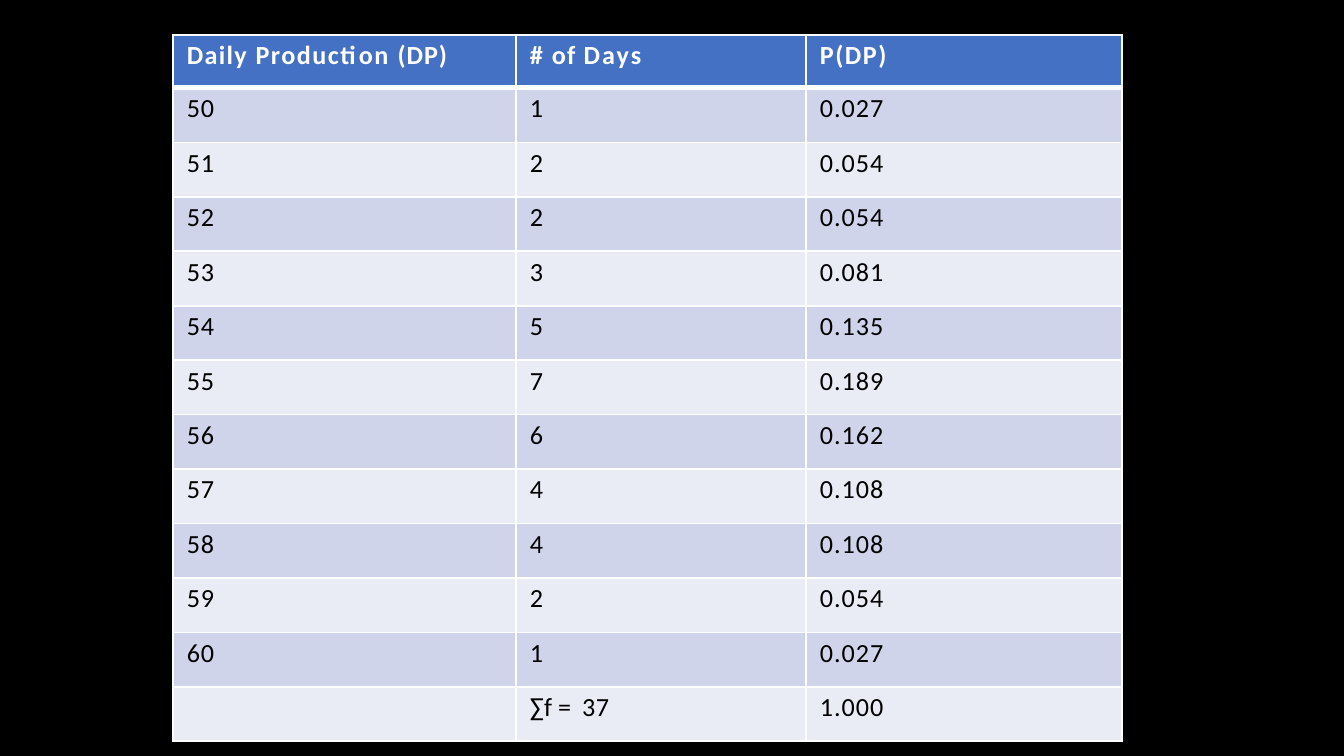
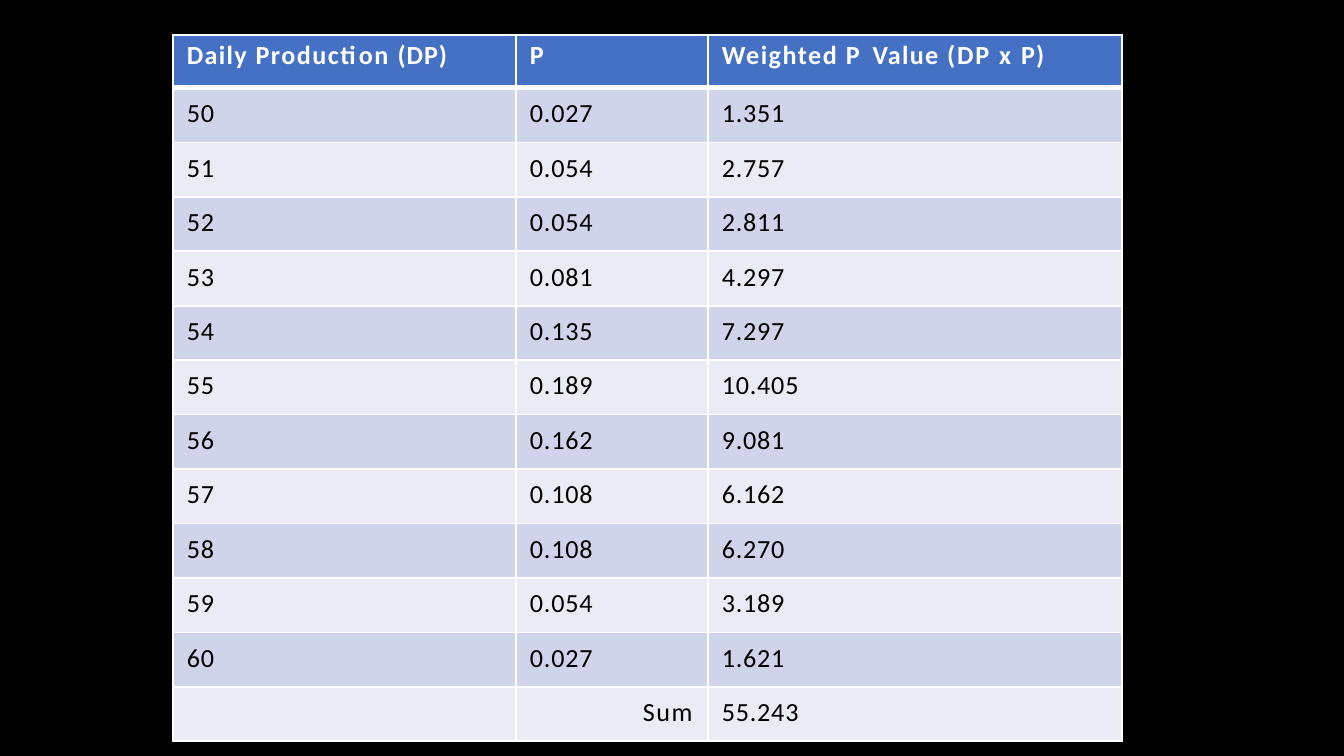
from dataclasses import dataclass

from lxml.etree import SubElement
from pptx import Presentation
from pptx.dml.color import RGBColor
from pptx.oxml.ns import qn
from pptx.util import Emu, Pt

SCALE = 9144000 / 1344
WIDE, HIGH = 1344, 756


@dataclass(frozen=True)
class Theme:
    """Hold the colours and type sizes of the deck."""

    back: str = "000000"
    head: str = "4471C4"
    bands: tuple = ("CFD4EA", "E9EBF5")
    rule: str = "FFFFFF"
    light: str = "FFFFFF"
    dark: str = "000000"
    font: str = "Calibri"
    size: int = 14
    thin: int = 1
    thick: int = 3


THEME = Theme()

LEFT, TOP, TALL = 173, 35, 707
CROWN = 53
INSET = 14

DAYS = [
    ("50", "1", "0.027", "1.351"),
    ("51", "2", "0.054", "2.757"),
    ("52", "2", "0.054", "2.811"),
    ("53", "3", "0.081", "4.297"),
    ("54", "5", "0.135", "7.297"),
    ("55", "7", "0.189", "10.405"),
    ("56", "6", "0.162", "9.081"),
    ("57", "4", "0.108", "6.162"),
    ("58", "4", "0.108", "6.270"),
    ("59", "2", "0.054", "3.189"),
    ("60", "1", "0.027", "1.621"),
]

DAILY = [("Daily ", 0.7), ("Production ", 0.8), ("(DP)", 0.5)]


def px(count):
    """Turn a length in px into EMU."""
    return Emu(round(count * SCALE))


def paint(fill, color):
    """Give a fill one solid colour."""
    fill.solid()
    fill.fore_color.rgb = RGBColor.from_string(color)


def trim(deck, blank):
    """Keep one layout and drop the placeholders that no slide uses."""
    for layout in list(deck.slide_layouts):
        if layout is not blank:
            deck.slide_layouts.remove(layout)
    for page in (deck.slide_master, blank):
        for holder in list(page.placeholders):
            holder.element.getparent().remove(holder.element)


def add_rules(cell, row):
    """Draw the four borders of a cell, thick below the header."""
    props = cell._tc.get_or_add_tcPr()
    for side in "LRTB":
        thick = (side, row) in (("B", 0), ("T", 1))
        width = Pt(THEME.thick if thick else THEME.thin)
        line = SubElement(props, qn(f"a:ln{side}"), w=str(width))
        fill = SubElement(line, qn("a:solidFill"))
        SubElement(fill, qn("a:srgbClr"), val=THEME.rule)


def add_run(para, text, space, head):
    """Add one run with its letter spacing in points."""
    run = para.add_run()
    run.text = text
    run.font.name = THEME.font
    run.font.size = Pt(THEME.size)
    run.font.bold = head
    color = THEME.light if head else THEME.dark
    run.font.color.rgb = RGBColor.from_string(color)
    run._r.get_or_add_rPr().set("spc", str(round(space * 100)))


def fill_cell(cell, row, runs, top):
    """Style a cell and write its runs."""
    head = row == 0
    add_rules(cell, row)
    paint(cell.fill, THEME.head if head else THEME.bands[(row - 1) % 2])
    cell.margin_left, cell.margin_top = px(INSET), px(top)
    cell.margin_right = cell.margin_bottom = 0
    for text, space in runs:
        add_run(cell.text_frame.paragraphs[0], text, space, head)


def add_grid(slide, widths, rows, drop):
    """Add a table of run lists, with body text set down by drop."""
    frame = slide.shapes.add_table(
        len(rows), len(widths), px(LEFT), px(TOP), px(sum(widths)), px(TALL)
    )
    table = frame.table
    table.horz_banding = False
    for col, width in zip(table.columns, widths):
        col.width = px(width)
    for row, line in enumerate(table.rows):
        line.height = px((TALL - CROWN) / (len(rows) - 1) if row else CROWN)
    for row, cells in enumerate(rows):
        for col, runs in enumerate(cells):
            fill_cell(table.cell(row, col), row, runs, drop if row else 5)
    return table


def pick(fields, spaces):
    """Build body rows from the chosen fields and column spacings."""
    return [
        [[(day[field], space)] for field, space in zip(fields, spaces)]
        for day in DAYS
    ]


def add_odds(slide):
    """Show how often each output came up."""
    head = [DAILY, [("# ", 0.8), ("of ", 0.6), ("Days", 1.1)], [("P(DP)", 0.8)]]
    total = [[], [("∑f ", 0), ("= ", 1.4), ("37", 0.2)], [("1.000", 0.5)]]
    body = pick((0, 1, 2), (0.3, 0.1, 0.5))
    add_grid(slide, (343, 290, 316), [head, *body, total], 5)


def add_weights(slide):
    """Show each output weighted by its chance."""
    weight = [
        ("Weighted ", 0.8), ("P ", 1.8), ("Value ", 0.7),
        ("(DP ", 1), ("x ", 1.1), ("P)", 0.5),
    ]
    head = [DAILY, [("P", 1.3)], weight]
    total = [[], [("Sum", 0.8)], [("55.243", 0.4)]]
    body = pick((0, 2, 3), (0.3, 0.4, 0.4))
    table = add_grid(slide, (343, 192, 414), [head, *body, total], 10)
    table.cell(len(DAYS) + 1, 1).margin_left = px(127)


def main():
    """Build and save the deck."""
    deck = Presentation()
    deck.slide_width, deck.slide_height = px(WIDE), px(HIGH)
    blank = deck.slide_layouts[6]
    trim(deck, blank)
    paint(deck.slide_master.background.fill, THEME.back)
    add_odds(deck.slides.add_slide(blank))
    add_weights(deck.slides.add_slide(blank))
    deck.save("out.pptx")


if __name__ == "__main__":
    main()
